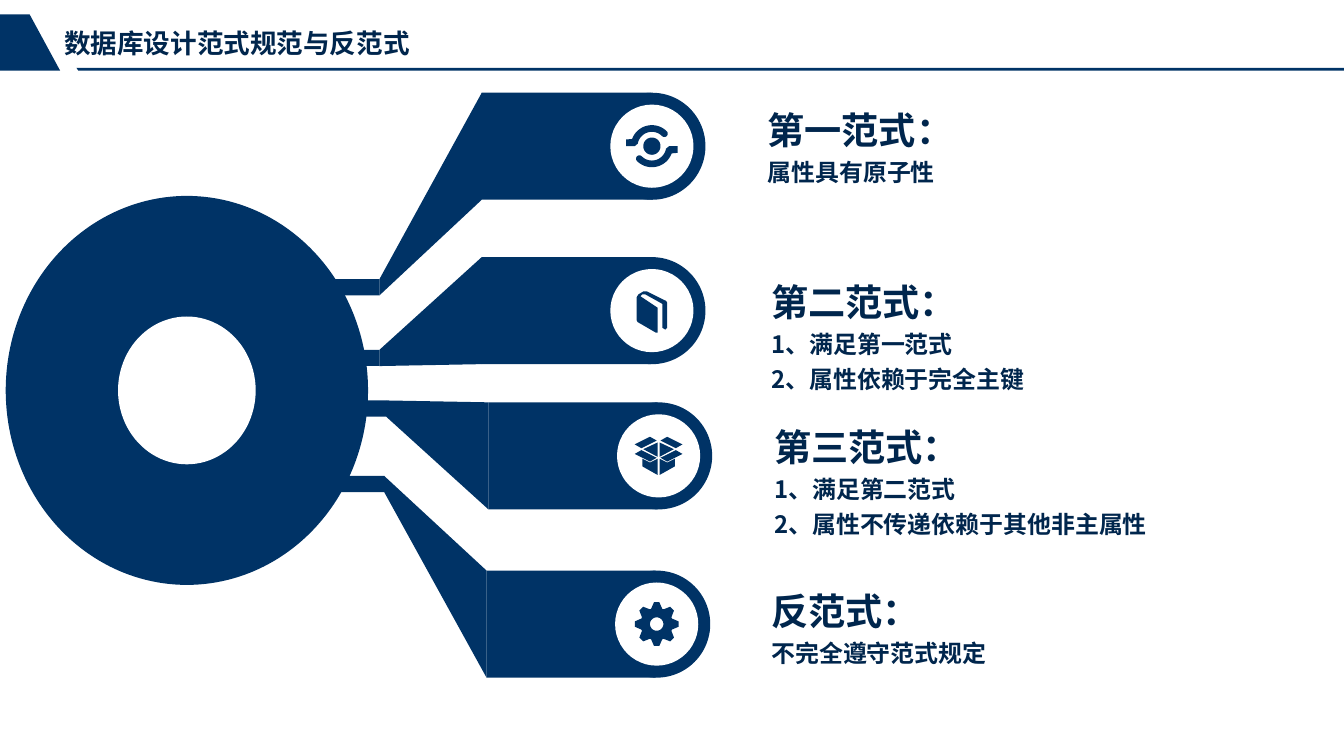
from math import cos, radians, sin

from lxml import etree
from pptx import Presentation
from pptx.dml.color import RGBColor
from pptx.enum.shapes import MSO_SHAPE as Shape
from pptx.enum.text import MSO_ANCHOR as Anchor, MSO_AUTO_SIZE as AutoSize, PP_ALIGN as Align
from pptx.oxml.ns import qn
from pptx.util import Inches, Pt

COLOURS = {"navy": "003366", "ink": "00264D", "white": "FFFFFF"}
FONT = "Noto Sans CJK SC"
WIDTH, HEIGHT = 14.06, 7.91


def paint(shape, colour):
    shape.shadow.inherit = False
    shape.fill.solid()
    shape.fill.fore_color.rgb = RGBColor.from_string(COLOURS[colour])
    shape.line.fill.background()


def add_preset(parts, kind, left, top, width, height, colour="navy"):
    shape = parts.add_shape(kind, Inches(left), Inches(top), Inches(width), Inches(height))
    paint(shape, colour)


def add_outline(parts, contours, left=0, top=0):
    """Draw closed contours as one navy shape, offset by left and top."""
    builder = None
    for contour in contours:
        first, *rest = [(Inches(left + x), Inches(top + y)) for x, y in contour]
        if builder is None:
            builder = parts.build_freeform(*first)
        else:
            builder.move_to(*first)
        builder.add_line_segments(rest, close=True)
    paint(builder.convert_to_shape(), "navy")


def add_span(para, text, size):
    span = para.add_run()
    span.text = text
    font = span.font
    font.size, font.bold, font.name = Pt(size), True, FONT
    font.color.rgb = RGBColor.from_string(COLOURS["ink"])
    etree.SubElement(font._element, qn("a:ea")).set("typeface", FONT)


def prepare_frame(frame, anchor):
    frame.margin_left = frame.margin_right = frame.margin_top = frame.margin_bottom = 0
    frame.word_wrap = True
    frame.auto_size = AutoSize.NONE
    frame.vertical_anchor = anchor


def arc(radius, start, end, step=5):
    """Points on a circle about the origin, in degrees clockwise from the right."""
    step = step if end > start else -step
    return [(radius * cos(radians(a)), radius * sin(radians(a)))
            for a in range(start, end + step, step)]


def turned(points):
    return [(-x, -y) for x, y in points]


def mirrored(points):
    return [(-x, y) for x, y in points]


def orbit_icon():
    tip = [(0.185 * cos(radians(-45)) + x, 0.185 * sin(radians(-45)) + y)
           for x, y in arc(0.035, 135, -45, 15)]
    swoosh = (arc(0.15, 190, 315) + tip + arc(0.22, 315, 200)
              + [(-0.27, -0.07), (-0.27, 0), (-0.18, 0)])
    return [swoosh, turned(swoosh), arc(0.09, 0, 360)]


def book_icon():
    return [[(0.15, -0.1), (-0.05, -0.2), (-0.09, -0.2), (-0.14, -0.17), (-0.16, -0.14),
             (-0.16, 0.1), (-0.15, 0.12), (0.04, 0.23), (0.06, 0.23), (0.06, -0.03),
             (-0.12, -0.15), (-0.1, -0.17), (-0.07, -0.17), (0.11, -0.07), (0.11, 0.18),
             (0.14, 0.2), (0.16, 0.18), (0.16, -0.08)]]


def box_icon():
    half = [
        [(0.02, -0.16), (0.09, -0.2), (0.25, -0.12), (0.18, -0.08)],
        [(0.02, 0.02), (0.18, -0.06), (0.25, -0.02), (0.09, 0.06)],
        [(0.01, -0.14), (0.16, -0.07), (0.01, 0.01)],
        [(0.01, 0.03), (0.09, 0.07), (0.17, 0.03), (0.17, 0.11), (0.01, 0.2)],
    ]
    return half + [mirrored(part) for part in half]


def gear_icon(teeth=8):
    rim = [(radius * cos(radians(tooth * 360 / teeth + angle)),
            radius * sin(radians(tooth * 360 / teeth + angle)))
           for tooth in range(teeth)
           for angle, radius in ((-20, 0.17), (-7, 0.23), (7, 0.23), (20, 0.17))]
    return [rim, arc(0.07, 360, 0)]


def add_header(page, title):
    add_outline(page.shapes, [[(0.8, 0.71), (WIDTH, 0.71), (WIDTH, 0.74), (0.82, 0.74)]])
    add_outline(page.shapes, [[(0, 0.15), (0.31, 0.15), (0.63, 0.74), (0, 0.74)]])
    heading = page.shapes.title
    heading.left, heading.top = Inches(0.67), Inches(0.28)
    heading.width, heading.height = Inches(3.92), Inches(0.34)
    prepare_frame(heading.text_frame, Anchor.MIDDLE)
    para = heading.text_frame.paragraphs[0]
    para.alignment = Align.LEFT
    add_span(para, title, 20)


def add_branch(page, left, top, stem_top, icon):
    """Stem, funnel and rounded bar with an icon; left and top are the bar's corner."""
    bar, stem, funnel, disc = 1.12, 0.17, 1.07, 0.87
    parts = page.shapes.add_group_shape().shapes
    add_preset(parts, Shape.RECTANGLE, left, top, 1.77, bar)
    add_preset(parts, Shape.RECTANGLE, left - 2.41, stem_top, 1.34, stem)
    add_outline(parts, [[(left - funnel, stem_top), (left, top),
                         (left, top + bar), (left - funnel, stem_top + stem)]])
    middle_x, middle_y = left + 1.78, top + bar / 2
    for size, colour in ((bar, "navy"), (disc, "white")):
        add_preset(parts, Shape.OVAL, middle_x - size / 2, middle_y - size / 2,
                   size, size, colour)
    add_outline(parts, icon, middle_x, middle_y)


def add_ring(page, left, top, width, height):
    parts = page.shapes.add_group_shape().shapes
    hole_width, hole_height = width * 0.38, height * 0.38
    add_preset(parts, Shape.OVAL, left, top, width, height)
    add_preset(parts, Shape.OVAL, left + (width - hole_width) / 2,
               top + (height - hole_height) / 2, hole_width, hole_height, "white")


def add_description(page, left, top, lines):
    height = 0.57 + 0.36 * (len(lines) - 1)
    box = page.shapes.add_textbox(Inches(left), Inches(top), Inches(5.5), Inches(height))
    frame = box.text_frame
    prepare_frame(frame, Anchor.TOP)
    for index, line in enumerate(lines):
        para = frame.add_paragraph() if index else frame.paragraphs[0]
        para.alignment = Align.JUSTIFY
        para.line_spacing = 1.2
        add_span(para, line, 18 if index else 28)


def main():
    deck = Presentation()
    deck.slide_width, deck.slide_height = Inches(WIDTH), Inches(HEIGHT)
    page = deck.slides.add_slide(deck.slide_layouts[5])
    add_header(page, "数据库设计范式规范与反范式")
    for branch in ((5.04, 0.97, 2.92, orbit_icon()), (5.04, 2.69, 3.66, book_icon()),
                   (5.11, 4.21, 4.19, box_icon()), (5.09, 5.97, 4.98, gear_icon())):
        add_branch(page, *branch)
    add_ring(page, 0.06, 2.05, 3.79, 4.07)
    for left, top, lines in (
        (8.03, 1.03, ["第一范式：", "属性具有原子性"]),
        (8.07, 2.83, ["第二范式：", "1、满足第一范式", "2、属性依赖于完全主键"]),
        (8.1, 4.35, ["第三范式：", "1、满足第二范式", "2、属性不传递依赖于其他非主属性"]),
        (8.07, 6.06, ["反范式：", "不完全遵守范式规定"]),
    ):
        add_description(page, left, top, lines)
    deck.save("out.pptx")


if __name__ == "__main__":
    main()
